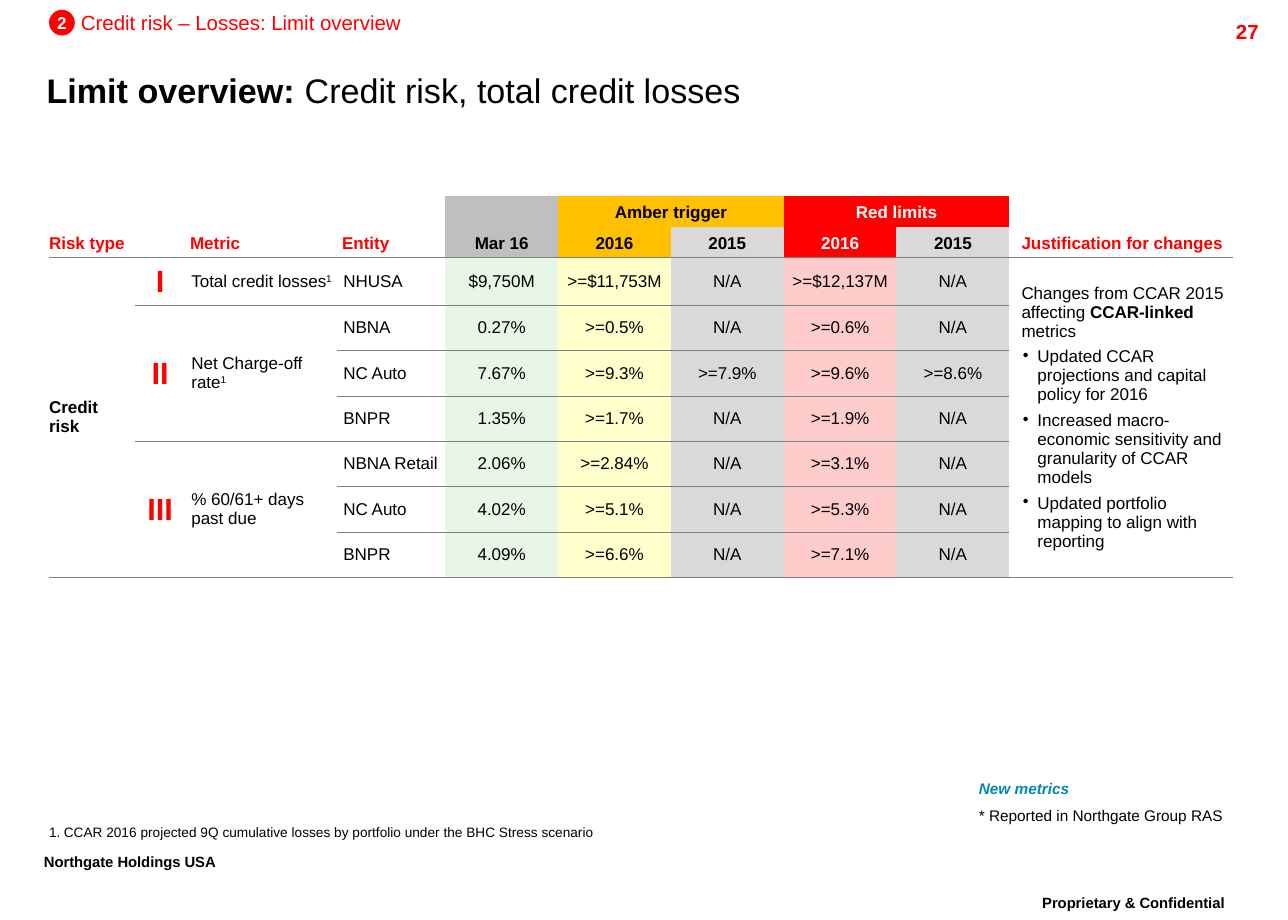
import dataclasses

import lxml.etree
import pptx
import pptx.dml.color
import pptx.enum.shapes
import pptx.enum.text
import pptx.oxml.ns
import pptx.util

Inches = pptx.util.Inches
Align = pptx.enum.text.PP_ALIGN
Anchor = pptx.enum.text.MSO_ANCHOR
qn = pptx.oxml.ns.qn


@dataclasses.dataclass(frozen=True)
class Theme:
    font: str = "Arial"
    black: str = "000000"
    white: str = "FFFFFF"
    red: str = "FF0000"
    teal: str = "008AB3"
    rule: str = "7F7F7F"
    amber: str = "FFC000"
    header_grey: str = "BFBFBF"
    prior_grey: str = "D9D9D9"
    pale_green: str = "E8F6E6"
    pale_yellow: str = "FFFFCC"
    pale_red: str = "FFCCCC"
    title: int = 20
    numeral: int = 18
    footer: int = 15
    section: int = 12
    body: int = 10
    legend: int = 9
    footnote: int = 8


class SlideBuilder:
    def __init__(self, presentation, theme):
        self.theme = theme
        self.slide = presentation.slides.add_slide(presentation.slide_layouts[5])

    def set_text(self, paragraph, *pieces, size=None, color=None, bold=False,
                 italic=False, raised=False, align=Align.LEFT):
        paragraph.alignment = align
        paragraph.text = pieces[0][0]
        for text, _ in pieces[1:]:
            paragraph.add_run().text = text
        for run, (_, emphasis) in zip(paragraph.runs, pieces):
            font = run.font
            font.name = self.theme.font
            font.size = pptx.util.Pt(size or self.theme.body)
            font.bold = bold or emphasis == "bold"
            font.italic = italic
            font.color.rgb = pptx.dml.color.RGBColor.from_string(color or self.theme.black)
            if raised or emphasis == "raised":
                font._element.set("baseline", "30000")

    def indent(self, paragraph, left, hanging=0, bullet=None, **attributes):
        properties = paragraph._p.get_or_add_pPr()
        properties.set("marL", str(Inches(left)))
        properties.set("indent", str(-Inches(hanging)))
        if bullet:
            lxml.etree.SubElement(properties, qn("a:" + bullet), **attributes)

    def frame(self, text_frame, inset=0, anchor=Anchor.TOP, wrap=True):
        text_frame.auto_size = pptx.enum.text.MSO_AUTO_SIZE.NONE
        text_frame.word_wrap = wrap
        text_frame.vertical_anchor = anchor
        text_frame.margin_left = text_frame.margin_right = Inches(inset)
        text_frame.margin_top = text_frame.margin_bottom = Inches(inset / 2)
        return text_frame.paragraphs[0]

    def title(self, box, *pieces):
        title = self.slide.shapes.title
        title.left, title.top, title.width, title.height = map(Inches, box)
        paragraph = self.frame(title.text_frame, anchor=Anchor.MIDDLE)
        self.set_text(paragraph, *pieces, size=self.theme.title)

    def label(self, box, text, inset=0, anchor=Anchor.TOP, wrap=True, spacing=None, **style):
        label = self.slide.shapes.add_textbox(*map(Inches, box))
        paragraph = self.frame(label.text_frame, inset, anchor, wrap)
        if spacing:
            paragraph.line_spacing = spacing
        self.set_text(paragraph, (text, ""), **style)
        return paragraph

    def badge(self, box, text):
        badge = self.slide.shapes.add_shape(pptx.enum.shapes.MSO_SHAPE.OVAL, *map(Inches, box))
        badge.shadow.inherit = False
        badge.fill.solid()
        badge.fill.fore_color.rgb = pptx.dml.color.RGBColor.from_string(self.theme.red)
        badge.line.fill.background()
        paragraph = self.frame(badge.text_frame, anchor=Anchor.MIDDLE, wrap=False)
        self.set_text(paragraph, (text, ""), color=self.theme.white, bold=True,
                      align=Align.CENTER)

    def table(self, left, top, widths, heights):
        table = self.slide.shapes.add_table(
            len(heights), len(widths), Inches(left), Inches(top),
            Inches(sum(widths)), Inches(sum(heights))).table
        table.first_row = table.horz_banding = False
        style = table._tbl.tblPr.find(qn("a:tableStyleId"))
        style.text = "{2D5ABB26-0587-4C30-8999-92F81FD0307C}"
        for column, width in zip(table.columns, widths):
            column.width = Inches(width)
        for row, height in zip(table.rows, heights):
            row.height = Inches(height)
        for cell in table.iter_cells():
            lxml.etree.SubElement(cell.text_frame.paragraphs[0]._p, qn("a:endParaRPr"),
                                  sz=str(self.theme.body * 100))
            cell.fill.background()
        return table

    def underline(self, cell):
        line = lxml.etree.Element(qn("a:lnB"), w=str(pptx.util.Pt(0.75)))
        fill = lxml.etree.SubElement(line, qn("a:solidFill"))
        lxml.etree.SubElement(fill, qn("a:srgbClr"), val=self.theme.rule)
        cell._tc.get_or_add_tcPr().insert(0, line)

    def cell(self, table, row, column, *pieces, fill=None, rows=1, columns=1,
             ruled=True, anchor=Anchor.MIDDLE, left=0.05, **style):
        cell = table.cell(row, column)
        if rows > 1 or columns > 1:
            cell.merge(table.cell(row + rows - 1, column + columns - 1))
        cell.vertical_anchor = anchor
        cell.margin_left, cell.margin_right = Inches(left), Inches(0.02)
        cell.margin_top = cell.margin_bottom = Inches(0.04)
        if fill:
            cell.fill.solid()
            cell.fill.fore_color.rgb = pptx.dml.color.RGBColor.from_string(fill)
        if ruled:
            for ruled_row in sorted({row, row + rows - 1}):
                self.underline(table.cell(ruled_row, column))
        if pieces:
            self.set_text(cell.text_frame.paragraphs[0], *pieces, **style)
        return cell.text_frame


def add_headers(page, table):
    theme = page.theme
    heading = {"bold": True, "anchor": Anchor.BOTTOM}
    centred = {**heading, "align": Align.CENTER, "left": 0.02}
    page.cell(table, 0, 1, rows=2)
    for column, text, left in ((0, "Risk type", 0), (2, "Metric", 0.04),
                               (3, "Entity", 0.04), (9, "Justification for changes", 0.1)):
        page.cell(table, 0, column, (text, ""), rows=2, color=theme.red, left=left, **heading)
    page.cell(table, 0, 4, ("Mar 16", ""), rows=2, fill=theme.header_grey, **centred)
    for column, text, fill, color in ((5, "Amber trigger", theme.amber, theme.black),
                                      (7, "Red limits", theme.red, theme.white)):
        page.cell(table, 0, column, (text, ""), columns=2, ruled=False,
                  fill=fill, color=color, **centred)
        page.cell(table, 1, column, ("2016", ""), fill=fill, color=color, **centred)
        page.cell(table, 1, column + 1, ("2015", ""), fill=theme.prior_grey, **centred)


def add_metrics(page, table, metrics):
    theme = page.theme
    fills = (theme.pale_green, theme.pale_yellow, theme.prior_grey,
             theme.pale_red, theme.prior_grey)
    row = 2
    for numeral, metric, entities in metrics:
        span = len(entities)
        page.cell(table, row, 1, (numeral, ""), rows=span, size=theme.numeral,
                  color=theme.red, bold=True, align=Align.CENTER, left=0.02)
        page.cell(table, row, 2, *metric, rows=span)
        for entity, *values in entities:
            page.cell(table, row, 3, (entity, ""))
            for column, (value, fill) in enumerate(zip(values, fills), 4):
                page.cell(table, row, column, (value, ""), fill=fill,
                          align=Align.CENTER, left=0.02)
            row += 1


def add_side_columns(page, table):
    risk = page.cell(table, 2, 0, ("Credit", ""), rows=7, bold=True, left=0)
    page.set_text(risk.add_paragraph(), ("risk", ""), bold=True)
    reasons = page.cell(table, 2, 9, ("Changes from CCAR 2015 affecting ", ""),
                        ("CCAR-linked ", "bold"), ("metrics", ""), rows=7, left=0.04)
    page.indent(reasons.paragraphs[0], 0.06)
    for reason in ("Updated CCAR projections and capital policy for 2016",
                   "Increased macro-economic sensitivity and granularity of CCAR models",
                   "Updated portfolio mapping to align with reporting"):
        paragraph = reasons.add_paragraph()
        page.indent(paragraph, 0.19, 0.12, "buChar", char="•")
        paragraph.space_before = pptx.util.Pt(4)
        page.set_text(paragraph, (reason, ""))


def main():
    presentation = pptx.Presentation()
    presentation.slide_width, presentation.slide_height = Inches(10.5), Inches(7.5)
    theme = Theme()
    page = SlideBuilder(presentation, theme)

    footer = {"inset": 0.1, "spacing": 0.86, "size": theme.footer, "bold": True, "raised": True}
    page.label((8.15, 7.25, 2.18, 0.35), "Proprietary & Confidential",
               align=Align.CENTER, **footer)
    page.label((0.26, 6.91, 1.91, 0.35), "Northgate Holdings USA", wrap=False, **footer)
    page.label((9.36, 0.11, 1, 0.24), "27", inset=0.1, size=theme.section,
               color=theme.red, bold=True, align=Align.RIGHT)
    page.title((0.38, 0.49, 9.48, 0.48), ("Limit overview: ", "bold"),
               ("Credit risk, total credit losses", ""))
    footnote = page.label(
        (0.4, 6.72, 7.45, 0.13),
        "CCAR 2016 projected 9Q cumulative losses by portfolio under the BHC Stress scenario",
        anchor=Anchor.BOTTOM, size=theme.footnote)
    page.indent(footnote, 0.12, 0.12, "buAutoNum", type="arabicPeriod")
    page.label((0.66, 0.08, 2.63, 0.2), "Credit risk – Losses: Limit overview",
               wrap=False, size=theme.section, color=theme.red)
    page.badge((0.4, 0.08, 0.21, 0.21), "2")

    metrics = (
        ("I", (("Total credit losses", ""), ("1", "raised")), (
            ("NHUSA", "$9,750M", ">=$11,753M", "N/A", ">=$12,137M", "N/A"),)),
        ("II", (("Net Charge-off rate", ""), ("1", "raised")), (
            ("NBNA", "0.27%", ">=0.5%", "N/A", ">=0.6%", "N/A"),
            ("NC Auto", "7.67%", ">=9.3%", ">=7.9%", ">=9.6%", ">=8.6%"),
            ("BNPR", "1.35%", ">=1.7%", "N/A", ">=1.9%", "N/A"))),
        ("III", (("% 60/61+ days past due", ""),), (
            ("NBNA Retail", "2.06%", ">=2.84%", "N/A", ">=3.1%", "N/A"),
            ("NC Auto", "4.02%", ">=5.1%", "N/A", ">=5.3%", "N/A"),
            ("BNPR", "4.09%", ">=6.6%", "N/A", ">=7.1%", "N/A"))),
    )
    limits = page.table(0.4, 1.6, [0.7, 0.41, 1.24, 0.88] + [0.92] * 5 + [1.82],
                        [0.25, 0.25, 0.39] + [0.37] * 6)
    add_headers(page, limits)
    add_metrics(page, limits, metrics)
    add_side_columns(page, limits)

    legend = {"wrap": False, "spacing": 0.86, "size": theme.legend}
    page.label((7.98, 6.59, 2.03, 0.13), "* Reported in Northgate Group RAS",
               anchor=Anchor.BOTTOM, **legend)
    page.label((7.98, 6.37, 0.74, 0.13), "New metrics", color=theme.teal,
               bold=True, italic=True, **legend)
    presentation.save("out.pptx")


if __name__ == "__main__":
    main()
